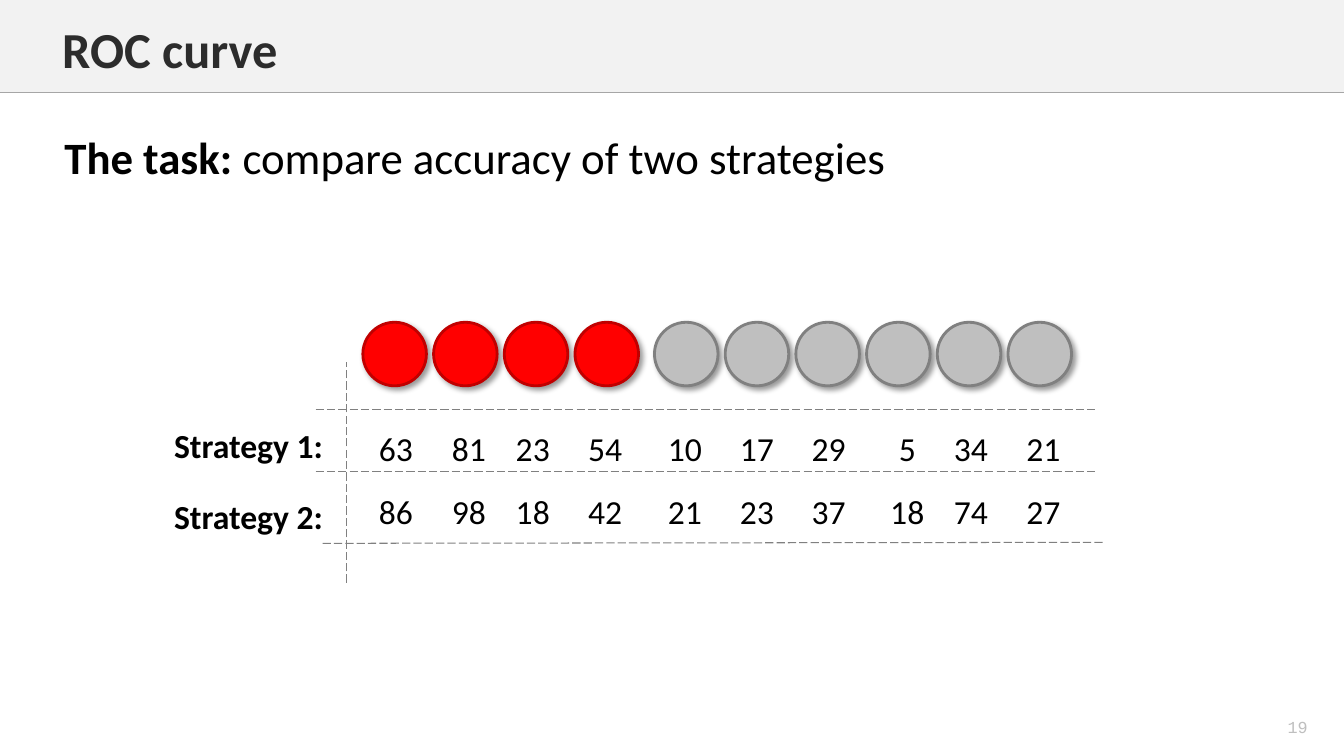
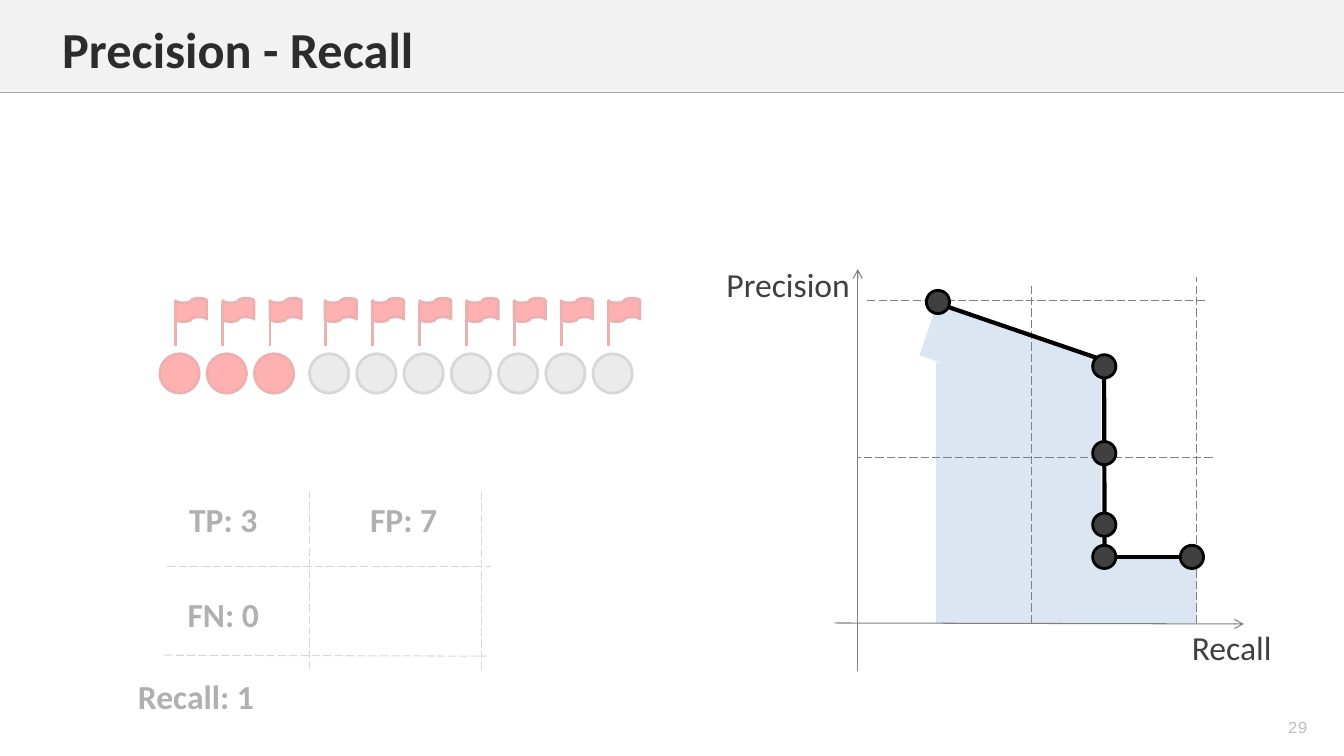
from lxml import etree
from pptx import Presentation
from pptx.dml.color import RGBColor
from pptx.enum import dml, shapes, text
from pptx.oxml import ns
from pptx.util import Pt

WHITE = RGBColor(0xFF, 0xFF, 0xFF)
BLACK = RGBColor(0x00, 0x00, 0x00)
BAND = RGBColor(0xF2, 0xF2, 0xF2)
BAND_EDGE = RGBColor(0xA6, 0xA6, 0xA6)
TITLE_INK = RGBColor(0x2C, 0x2C, 0x2C)
DARK = RGBColor(0x40, 0x40, 0x40)
GREY = RGBColor(0x80, 0x80, 0x80)
SILVER = RGBColor(0xBF, 0xBF, 0xBF)
RED = RGBColor(0xFF, 0x00, 0x00)
DARK_RED = RGBColor(0xC0, 0x00, 0x00)
PALE_BLUE = RGBColor(0xDC, 0xE6, 0xF2)

RECT = shapes.MSO_SHAPE.RECTANGLE
CIRCLE = shapes.MSO_SHAPE.FLOWCHART_CONNECTOR
FLAG = shapes.MSO_SHAPE.FLOWCHART_PUNCHED_TAPE
STRAIGHT = shapes.MSO_CONNECTOR.STRAIGHT


def style(item, fill=None, edge=None, weight=0.75, dash=False):
    """Colour a shape or connector and return its empty effect list."""
    if fill is not None:
        item.fill.solid()
        item.fill.fore_color.rgb = fill
    if edge is None:
        item.line.fill.background()
    else:
        item.line.color.rgb = edge
        item.line.width = Pt(weight)
    if dash:
        item.line.dash_style = dml.MSO_LINE.LONG_DASH
    return etree.SubElement(item._element.spPr, ns.qn("a:effectLst"))


def write(page, area, spans, size=24, color=BLACK, centred=True, font="Calibri"):
    """Add a text box of (words, bold) spans and return its paragraph."""
    box = page.shapes.add_textbox(*map(Pt, area))
    frame = box.text_frame
    frame.word_wrap = True
    para = frame.paragraphs[0]
    if centred:
        frame.margin_left = frame.margin_right = 0
        frame.margin_top = frame.margin_bottom = 0
        frame.vertical_anchor = text.MSO_ANCHOR.MIDDLE
        para.alignment = text.PP_ALIGN.CENTER
    for words, bold in spans:
        span = para.add_run()
        span.text = words
        span.font.name = font
        span.font.size = Pt(size)
        span.font.bold = bold
        span.font.color.rgb = color
    return para


deck = Presentation()
deck.slide_width, deck.slide_height = Pt(960), Pt(540)

# Title band and page number on every slide
pages = []
for title, number in (("ROC curve", "19"), ("Precision - Recall", "29")):
    page = deck.slides.add_slide(deck.slide_layouts[6])
    style(page.shapes.add_shape(RECT, 0, 0, Pt(960), Pt(66)), BAND)
    rule = page.shapes.add_connector(STRAIGHT, 0, Pt(66), Pt(960), Pt(66))
    style(rule, edge=BAND_EDGE, weight=1)
    write(page, (37.4, 9.4, 856, 51), [(title, True)], 36, TITLE_INK, False)
    write(page, (895.7, 508.3, 62.6, 22.3), [(number, False)], 12, SILVER,
          font="Courier New")
    pages.append(page)
roc, recall = pages

# ROC: task
write(roc, (38.9, 89.3, 612, 46),
      [("The task: ", True), ("compare accuracy of two strategies", False)],
      32, centred=False)

# ROC: four positive and six negative samples
for i in range(10):
    positive = i < 4
    left = 259.2 + 50.5 * i + (0 if positive else 6.3)
    circle = roc.shapes.add_shape(CIRCLE, Pt(left), Pt(230.2), Pt(45.4), Pt(45.4))
    effects = style(circle, RED if positive else SILVER,
                    DARK_RED if positive else GREY, 2)
    shadow = etree.SubElement(
        effects, ns.qn("a:outerShdw"), blurRad=str(Pt(4)), dist=str(Pt(3)),
        dir="2700000", algn="tl", rotWithShape="0")
    shade = etree.SubElement(shadow, ns.qn("a:srgbClr"), val=str(BLACK))
    etree.SubElement(shade, ns.qn("a:alpha"), val="40000")

# ROC: scores, each centred on a tab stop
SCORE_STOPS = (16.5, 68.6, 114.3, 166, 222.9, 274.3, 325.7, 381.8, 427.3, 479)
strategies = (
    ("Strategy 1:", 298, 302.4, (63, 81, 23, 54, 10, 17, 29, 5, 34, 21)),
    ("Strategy 2:", 348.5, 347.4, (86, 98, 18, 42, 21, 23, 37, 18, 74, 27)),
)
for name, name_top, score_top, scores in strategies:
    write(roc, (107.3, name_top, 140.4, 39.6), [(name, True)])
    row = "".join(f"\t{score}" for score in scores)
    para = write(roc, (259.2, score_top, 528.5, 36), [(row, False)], centred=False)
    stops = etree.SubElement(para._p.get_or_add_pPr(), ns.qn("a:tabLst"))
    for stop in SCORE_STOPS:
        etree.SubElement(stops, ns.qn("a:tab"), pos=str(Pt(stop)), algn="ctr")

# Recall: area under the curve
for left, top, width, height, turn in (
    (668.5, 258.8, 118.1, 186.4, 0),
    (668.9, 397.6, 185.8, 47.5, 0),
    (659.5, 236.9, 126.7, 38.2, 18.6),
):
    area = recall.shapes.add_shape(RECT, Pt(left), Pt(top), Pt(width), Pt(height))
    area.rotation = turn
    style(area, PALE_BLUE)

# Dashed guides of both slides
guides = (
    (roc, 225.4, 292.3, 781.9, 292.3),
    (roc, 225.4, 337, 781.9, 337),
    (roc, 230.4, 388.1, 787.7, 387.4),
    (roc, 247.7, 416.2, 247.7, 258.5),
    (recall, 860.4, 214.6, 618.5, 214.6),
    (recall, 866.2, 326.9, 612.7, 326.9),
    (recall, 736.6, 445, 736.6, 203),
    (recall, 854.6, 445, 854.6, 198),
    (recall, 221, 478.1, 221, 348.5),
    (recall, 344.2, 478.8, 344.2, 349.2),
    (recall, 119.5, 404.6, 350.6, 404.6),
    (recall, 117.4, 468, 347.8, 468.7),
)
for page, *ends in guides:
    guide = page.shapes.add_connector(STRAIGHT, *map(Pt, ends))
    style(guide, edge=GREY, dash=True)

# Recall: axes
for ends in ((596.2, 445, 888.5, 445.7), (612.7, 479.5, 612.7, 192.2)):
    axis = recall.shapes.add_connector(STRAIGHT, *map(Pt, ends))
    style(axis, edge=GREY)
    outline = axis._element.spPr.find(ns.qn("a:ln"))
    etree.SubElement(outline, ns.qn("a:tailEnd"), type="arrow")

# Recall: curve and its points
for ends in (
    (671.8, 217.4, 783.4, 255.6),
    (788.6, 254.9, 789, 389.5),
    (797.8, 397.6, 843.1, 397.6),
):
    segment = recall.shapes.add_connector(STRAIGHT, *map(Pt, ends))
    style(segment, edge=BLACK, weight=3)
for left, top in ((661.7, 207.4), (780.5, 253.4), (780.5, 315.4),
                  (780.5, 366.5), (780.5, 389.5), (843.1, 389.5)):
    dot = recall.shapes.add_shape(CIRCLE, Pt(left), Pt(top), Pt(16.6), Pt(16.6))
    style(dot, DARK, BLACK, 2)

# Recall: three positive and seven negative samples, all flagged
for i in range(10):
    positive = i < 3
    left = 114.2 + 33.75 * i + (0 if positive else 5.6)
    circle = recall.shapes.add_shape(CIRCLE, Pt(left), Pt(252.7), Pt(28.1), Pt(28.1))
    style(circle, RED if positive else SILVER, DARK_RED if positive else GREY, 2)
    pole_x = left + 11.2
    flag = recall.shapes.add_group_shape().shapes
    cloth = flag.add_shape(FLAG, Pt(pole_x), Pt(213.1), Pt(22.3), Pt(16.6))
    style(cloth, RED, DARK_RED, 2)
    pole = flag.add_connector(STRAIGHT, Pt(pole_x), Pt(217.4), Pt(pole_x), Pt(247))
    style(pole, edge=DARK_RED, weight=2)

# Recall: axis names and counts
for words, area, color, bold in (
    ("Recall", (843.1, 450.7, 73.4, 22.3), DARK, False),
    ("Precision", (496.8, 191.5, 132.5, 23), DARK, False),
    ("TP: 3", (108.7, 342.7, 101.5, 56.2), BLACK, True),
    ("FP: 7", (237.6, 342.7, 101.5, 56.2), BLACK, True),
    ("FN: 0", (108.7, 410.4, 101.5, 56.2), BLACK, True),
    ("Recall: 1", (66.2, 468.7, 147.6, 56.2), BLACK, True),
):
    write(recall, area, [(words, bold)], color=color)

# Recall: veil that fades the left half
veil = recall.shapes.add_shape(RECT, Pt(26.6), Pt(152.6), Pt(465), Pt(373))
style(veil, WHITE)
tint = veil._element.spPr.find(ns.qn("a:solidFill"))[0]
etree.SubElement(tint, ns.qn("a:alpha"), val="69000")

deck.save("out.pptx")
